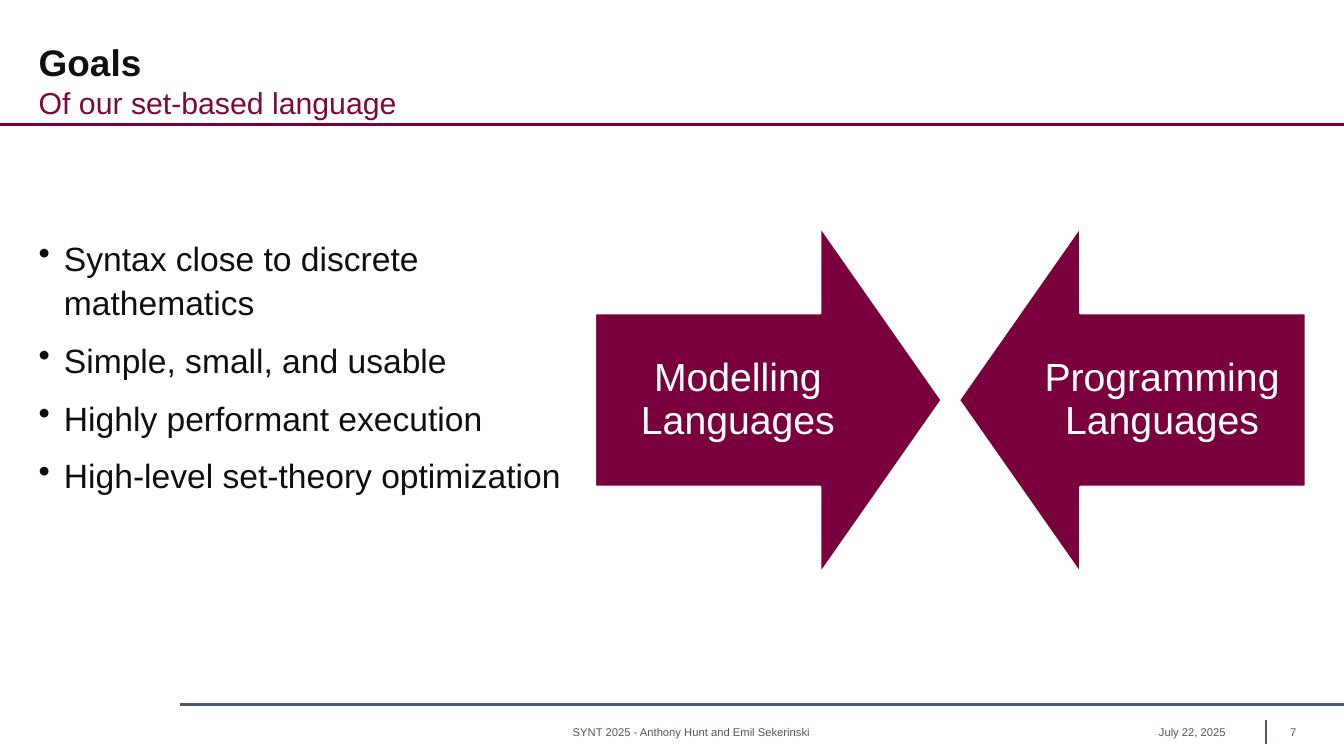
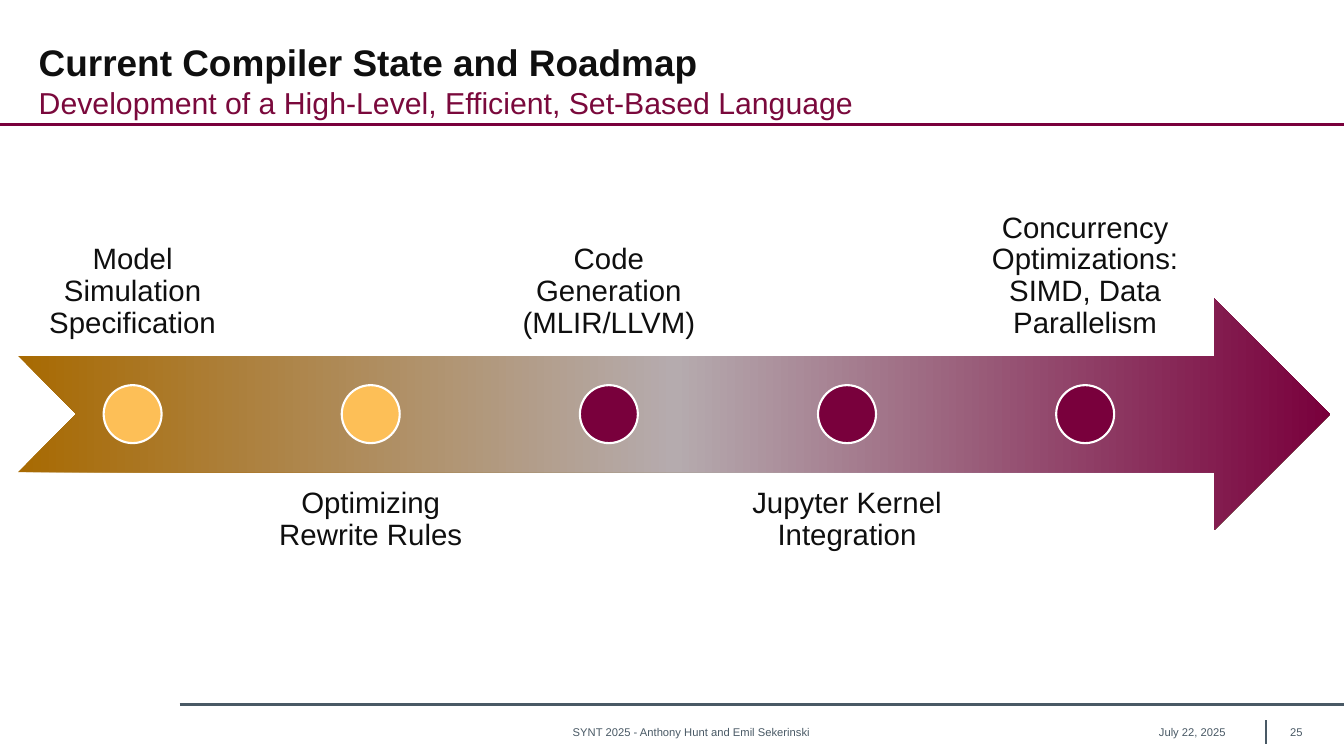
from dataclasses import dataclass

from lxml import etree
from pptx import Presentation
from pptx import util as u
from pptx.dml import color
from pptx.enum import shapes, text
from pptx.oxml import ns

FONT = "Arial"
MAROON, GOLD, SLATE = "79003C", "FDBF57", "495965"
INK, WHITE, SUBTITLE = "0F0F0F", "FFFFFF", "7A093C"
GRADIENT = ((0, "A86A02"), (50, "B5ABAE"), (100, MAROON))
WIDTH, HEIGHT = 960, 540
LEFT, CENTER, RIGHT = text.PP_ALIGN.LEFT, text.PP_ALIGN.CENTER, text.PP_ALIGN.RIGHT
TOP, MIDDLE, BOTTOM = text.MSO_ANCHOR.TOP, text.MSO_ANCHOR.MIDDLE, text.MSO_ANCHOR.BOTTOM
SHAPE = shapes.MSO_SHAPE


@dataclass(frozen=True)
class Box:
    x: float
    y: float
    w: float
    h: float

    def lengths(self) -> list:
        return [u.Pt(v) for v in (self.x, self.y, self.w, self.h)]


@dataclass(frozen=True)
class Style:
    size: float
    color: str = INK
    bold: bool = False
    align: text.PP_ALIGN = LEFT
    anchor: text.MSO_ANCHOR = TOP
    spacing: float = 1.0
    after: float = 0
    bullet: bool = False
    inset: float | None = None


@dataclass(frozen=True)
class Rule:
    x1: float
    y1: float
    x2: float
    y2: float
    color: str
    weight: float


@dataclass(frozen=True)
class Arrow:
    label: str
    kind: SHAPE
    x: float
    label_x: float


@dataclass(frozen=True)
class Milestone:
    label: str
    color: str


RULES = (
    Rule(128.4, 503.2, WIDTH, 503.2, SLATE, 1.75),
    Rule(904.3, 514.5, 904.3, 531.2, SLATE, 1),
    Rule(0, 88.8, WIDTH, 88.8, MAROON, 1.75),
)
GOALS = (
    "Syntax close to discrete mathematics",
    "Simple, small, and usable",
    "Highly performant execution",
    "High-level set-theory optimization",
)
ARROWS = (
    Arrow("Modelling Languages", SHAPE.RIGHT_ARROW, 425, 425),
    Arrow("Programming Languages", SHAPE.LEFT_ARROW, 685, 728),
)
MILESTONES = (
    Milestone("Model Simulation Specification", GOLD),
    Milestone("Optimizing Rewrite Rules", GOLD),
    Milestone("Code Generation (MLIR/LLVM)", MAROON),
    Milestone("Jupyter Kernel Integration", MAROON),
    Milestone("Concurrency Optimizations: SIMD, Data Parallelism", MAROON),
)


def rgb(value: str) -> color.RGBColor:
    return color.RGBColor.from_string(value)


def add_text(s, box: Box, style: Style, *lines: str) -> None:
    tf = s.shapes.add_textbox(*box.lengths()).text_frame
    tf.word_wrap = True
    tf.vertical_anchor = style.anchor
    if style.inset is not None:
        tf.margin_left = tf.margin_right = u.Pt(style.inset)
        tf.margin_top = tf.margin_bottom = u.Pt(style.inset)
    for i, line in enumerate(lines):
        p = tf.add_paragraph() if i else tf.paragraphs[0]
        if style.bullet:
            pPr = p._p.get_or_add_pPr()
            pPr.set("marL", str(u.Pt(18)))
            pPr.set("indent", str(-u.Pt(18)))
            etree.SubElement(pPr, ns.qn("a:buChar")).set("char", "•")
        p.alignment = style.align
        p.line_spacing = style.spacing
        p.space_after = u.Pt(style.after)
        r = p.add_run()
        r.text = line
        r.font.name = FONT
        r.font.size = u.Pt(style.size)
        r.font.bold = style.bold
        r.font.color.rgb = rgb(style.color)


def add_rule(s, rule: Rule) -> None:
    ends = [u.Pt(v) for v in (rule.x1, rule.y1, rule.x2, rule.y2)]
    line = s.shapes.add_connector(shapes.MSO_CONNECTOR.STRAIGHT, *ends)
    line.line.color.rgb = rgb(rule.color)
    line.line.width = u.Pt(rule.weight)
    etree.SubElement(line._element.spPr, ns.qn("a:effectLst"))


def add_solid(s, kind: SHAPE, box: Box, fill: str):
    sp = s.shapes.add_shape(kind, *box.lengths())
    sp.shadow.inherit = False
    sp.fill.solid()
    sp.fill.fore_color.rgb = rgb(fill)
    sp.line.color.rgb = rgb(WHITE)
    sp.line.width = u.Pt(1.5)
    return sp


def add_gradient_arrow(s, box: Box) -> None:
    sp = s.shapes.add_shape(SHAPE.NOTCHED_RIGHT_ARROW, *box.lengths())
    sp.shadow.inherit = False
    sp.line.fill.background()
    sp.fill.gradient()
    sp.fill.gradient_angle = 0
    stops = sp._element.spPr.find(".//" + ns.qn("a:gsLst"))
    for stop in list(stops):
        stops.remove(stop)
    for percent, value in GRADIENT:
        stop = etree.SubElement(stops, ns.qn("a:gs"), pos=str(percent * 1000))
        etree.SubElement(stop, ns.qn("a:srgbClr"), val=value)


def add_slide(prs, title: str, subtitle: str, number: int):
    s = prs.slides.add_slide(prs.slide_layouts[6])
    for rule in RULES:
        add_rule(s, rule)
    add_text(s, Box(20.6, 21.6, 918.7, 34.6), Style(26.4, bold=True, spacing=1.1), title)
    add_text(s, Box(20.6, 59.8, 918.7, 27.4), Style(21.6, SUBTITLE, spacing=0.9), subtitle)
    for x, w, align, label in (
        (761, 121.7, RIGHT, "July 22, 2025"),
        (226.8, 534.2, CENTER, "SYNT 2025 - Anthony Hunt and Emil Sekerinski"),
        (914.4, 36, LEFT, str(number)),
    ):
        add_text(s, Box(x, 514.8, w, 16.6), Style(8, SLATE, align=align, anchor=MIDDLE), label)
    return s


def draw_goals(prs) -> None:
    s = add_slide(prs, "Goals", "Of our set-based language", 7)
    add_text(s, Box(20.6, 163.4, 391, 222.5),
             Style(24, spacing=1.1, after=9.6, bullet=True), *GOALS)
    side = 247.6
    label_style = Style(28, WHITE, align=CENTER, anchor=MIDDLE, spacing=0.9, inset=15.8)
    for arrow in ARROWS:
        sp = add_solid(s, arrow.kind, Box(arrow.x, 162, side, side), MAROON)
        sp.adjustments[0] = 0.5
        sp.adjustments[1] = 0.35
        add_text(s, Box(arrow.label_x, 162 + side / 4, 204, side / 2), label_style, arrow.label)


def draw_roadmap(prs) -> None:
    s = add_slide(prs, "Current Compiler State and Roadmap",
                  "Development of a High-Level, Efficient, Set-Based Language", 25)
    band = Box(13, 213, 937, 165.6)
    add_gradient_arrow(s, band)
    label_w, pitch, dot = 162, 170.1, 41.4
    for i, milestone in enumerate(MILESTONES):
        x = 13.7 + i * pitch
        below = i % 2 == 1
        y = band.y + band.h * (0.75 if below else -0.75)
        style = Style(21, align=CENTER, anchor=TOP if below else BOTTOM, spacing=0.9, inset=11.8)
        add_text(s, Box(x, y, label_w, band.h), style, milestone.label)
        dot_box = Box(x + (label_w - dot) / 2, band.y + (band.h - dot) / 2, dot, dot)
        add_solid(s, SHAPE.OVAL, dot_box, milestone.color)


def main() -> None:
    prs = Presentation()
    prs.slide_width, prs.slide_height = u.Pt(WIDTH), u.Pt(HEIGHT)
    draw_goals(prs)
    draw_roadmap(prs)
    prs.save("out.pptx")


if __name__ == "__main__":
    main()
